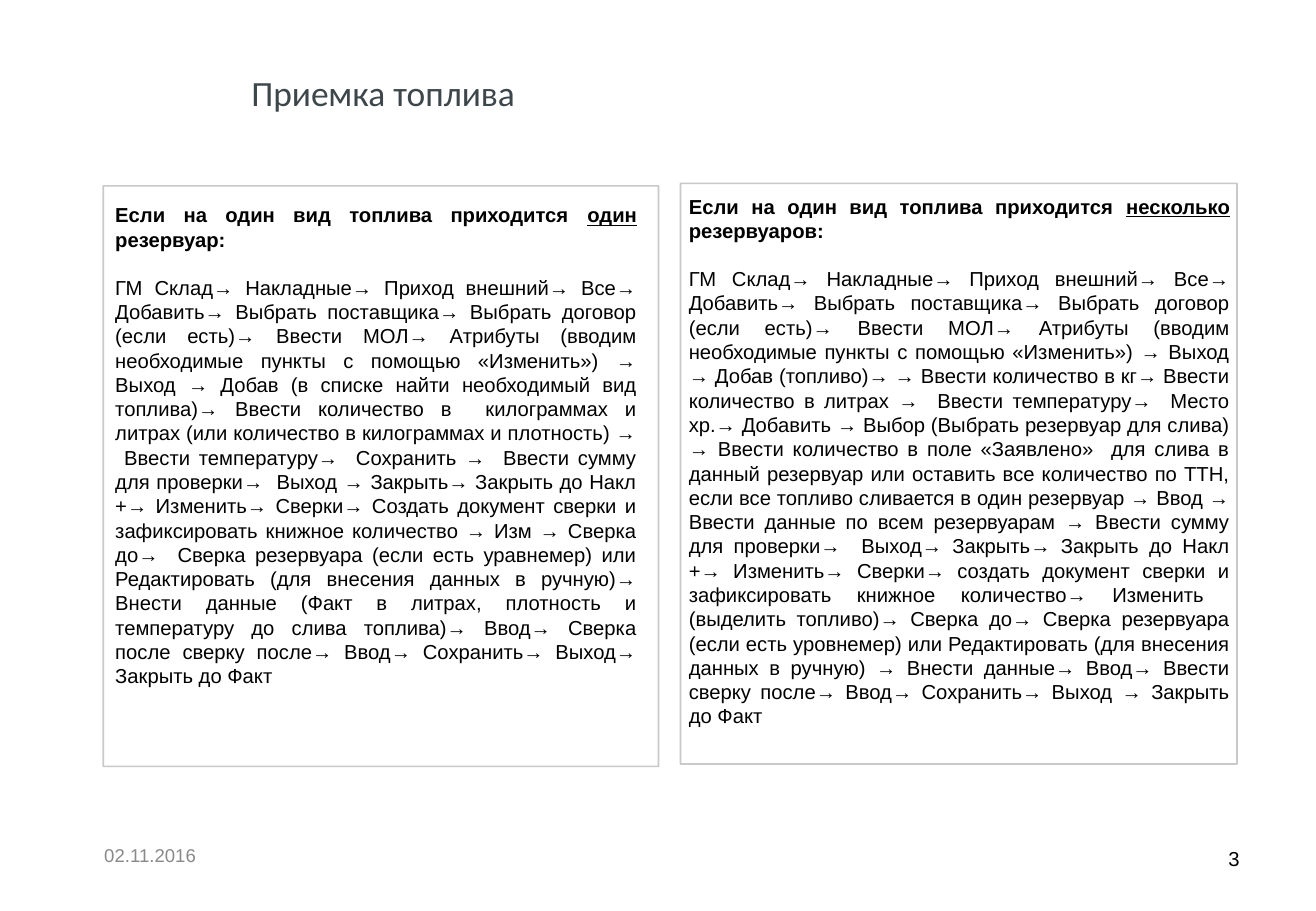
from lxml.etree import SubElement
from pptx import Presentation
from pptx.dml.color import RGBColor
from pptx.enum.shapes import MSO_SHAPE as Shape
from pptx.enum.text import MSO_ANCHOR as Anchor, PP_ALIGN as Align
from pptx.oxml.ns import qn
from pptx.util import Pt

PX = 9144  # 100 px to the inch
BLACK = RGBColor(0, 0, 0)
SLATE = RGBColor(0x3D, 0x46, 0x4A)
GREY = RGBColor(0x89, 0x89, 0x89)
FRAME = RGBColor(0xA6, 0xA6, 0xA6)

# Both instructions open with the same steps
START = (
    "ГМ Склад→ Накладные→ Приход внешний→ Все→ Добавить→ Выбрать поставщика→ "
    "Выбрать договор (если есть)→ Ввести МОЛ→ Атрибуты (вводим необходимые пункты "
    "с помощью «Изменить») → Выход → Добав "
)
ONE = (
    "(в списке найти необходимый вид топлива)→ "
    "Ввести количество в  килограммах и литрах (или количество в килограммах и "
    "плотность) →  Ввести температуру→  Сохранить →  Ввести сумму для проверки→  "
    "Выход → Закрыть→ Закрыть до Накл +→ Изменить→ Сверки→ Создать документ сверки и "
    "зафиксировать книжное количество → Изм → Сверка до→  Сверка резервуара (если есть "
    "уравнемер) или Редактировать (для внесения данных в ручную)→ Внести данные (Факт "
    "в литрах, плотность и температуру до слива топлива)→ Ввод→ Сверка после сверку "
    "после→ Ввод→ Сохранить→ Выход→ Закрыть до Факт"
)
MANY = (
    "(топливо)→ → Ввести количество в кг→ "
    "Ввести количество в литрах →  Ввести температуру→  Место хр.→ Добавить → Выбор "
    "(Выбрать резервуар для слива) → Ввести количество в поле «Заявлено»  для слива в "
    "данный резервуар или оставить все количество по ТТН, если все топливо сливается "
    "в один резервуар → Ввод → Ввести данные по всем резервуарам → Ввести сумму для "
    "проверки→  Выход→ Закрыть→ Закрыть до Накл +→ Изменить→ Сверки→ создать документ "
    "сверки и зафиксировать книжное количество→ Изменить  (выделить топливо)→ Сверка "
    "до→ Сверка резервуара (если есть уровнемер) или Редактировать (для внесения данных "
    "в ручную) → Внести данные→ Ввод→ Ввести сверку после→ Ввод→ Сохранить→ Выход → "
    "Закрыть до Факт"
)

deck = Presentation()
deck.slide_width, deck.slide_height = 1083 * PX, 750 * PX
slide = deck.slides.add_slide(deck.slide_layouts[6])
shapes = slide.shapes


def add_box(area, anchor):
    frame = shapes.add_textbox(*(n * PX for n in area)).text_frame
    frame.word_wrap = True
    frame.vertical_anchor = anchor
    return frame


def add_run(para, text, **style):
    run = para.add_run()
    run.text = text
    run.font.color.rgb = style.pop("color", BLACK)
    for key, value in ({"name": "Arial", "size": Pt(12)} | style).items():
        setattr(run.font, key, value)


# Title, date and page number
labels = [
    ((197, 45, 684, 62), "Приемка топлива", Align.LEFT,
     {"name": "Calibri", "size": Pt(21), "color": SLATE}),
    ((76, 684, 253, 40), "02.11.2016", Align.LEFT, {"size": Pt(11), "color": GREY}),
    ((996, 687, 34, 40), "3", Align.RIGHT, {}),
]
for area, text, align, style in labels:
    para = add_box(area, Anchor.MIDDLE).paragraphs[0]
    para.alignment = align
    add_run(para, text, **style)

# Two framed instructions
panels = [
    ((85, 153, 457, 478), (85, 162, 449, 414), "один", " резервуар:", ONE),
    ((560, 151, 458, 478), (557, 155, 465, 475), "несколько ", "резервуаров:", MANY),
]
for edge, area, count, tank, steps in panels:
    rect = shapes.add_shape(Shape.RECTANGLE, *(n * PX for n in edge))
    rect.shadow.inherit = False
    rect.fill.background()
    rect.line.width = Pt(1)
    rect.line.color.rgb = FRAME
    tint = rect.line._ln.find(".//" + qn("a:srgbClr"))
    SubElement(tint, qn("a:alpha"), val="60000")

    frame = add_box(area, Anchor.TOP)
    head = frame.paragraphs[0]
    add_run(head, "Если на один вид топлива приходится ", bold=True)
    add_run(head, count, bold=True, underline=True)
    add_run(head, tank, bold=True)
    body = frame.add_paragraph()
    body.space_before = Pt(14)
    add_run(body, START + steps)
    for para in frame.paragraphs:
        para.alignment = Align.JUSTIFY

deck.save("out.pptx")
